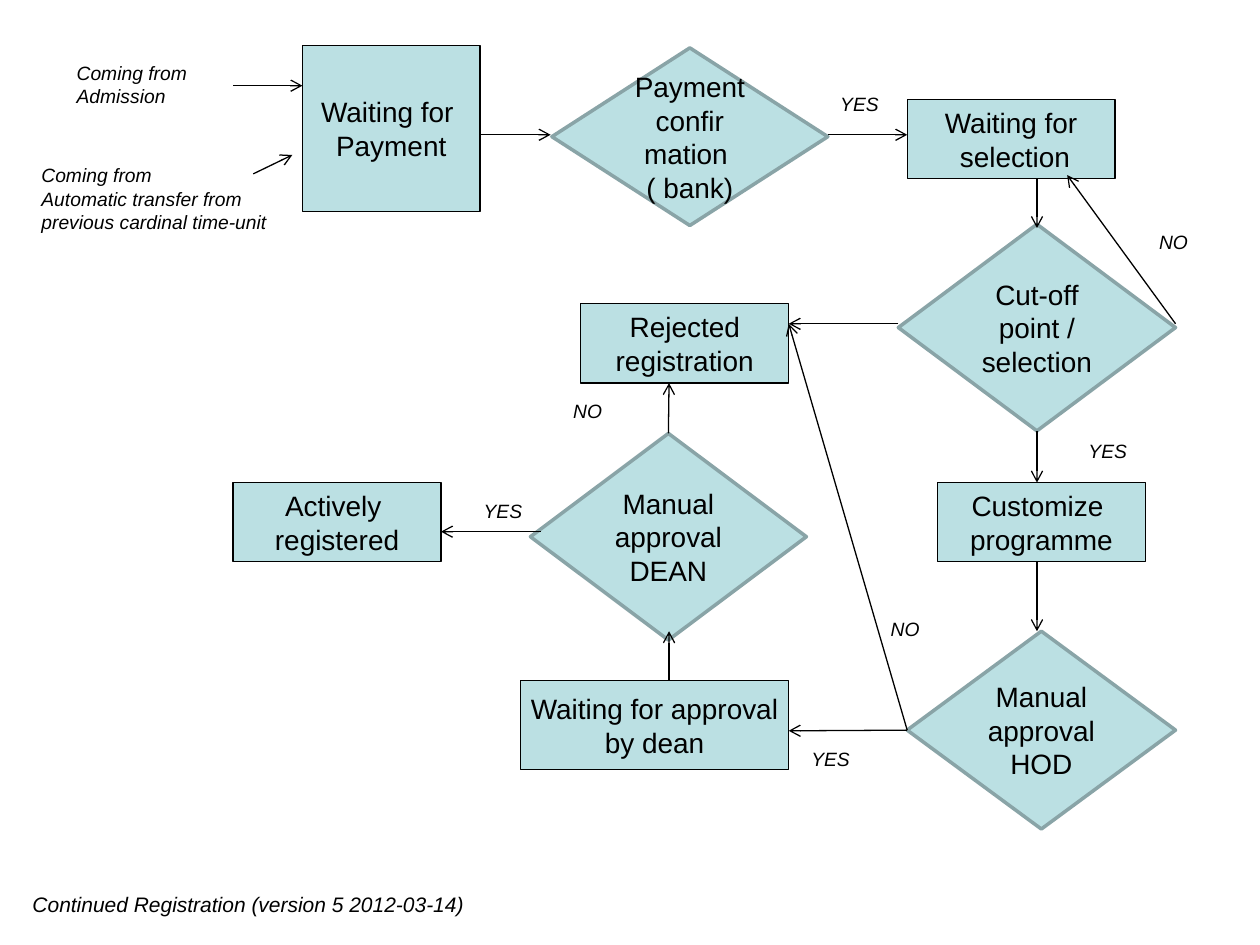
import pptx
import pptx.dml.color
import pptx.enum.shapes
import pptx.enum.text
import pptx.oxml
import pptx.oxml.ns
import pptx.util
from pptx.util import Inches

BLACK = pptx.dml.color.RGBColor(0x00, 0x00, 0x00)
PALE_TEAL = pptx.dml.color.RGBColor(0xBB, 0xE0, 0xE3)
GREY_TEAL = pptx.dml.color.RGBColor(0x89, 0xA4, 0xA7)

STATE_SIZE = (1.65, 0.63)
LABEL_SIZE = (0.55, 0.29)

# name: (text, (left, top, width, height))
STATES = {
    "payment": ("Waiting for \nPayment", (2.4, 0.36, 1.41, 1.32)),
    "selection": ("Waiting for\n selection", (7.2, 0.79, *STATE_SIZE)),
    "rejected": ("Rejected\nregistration", (4.61, 2.41, *STATE_SIZE)),
    "registered": ("Actively \nregistered", (1.85, 3.83, *STATE_SIZE)),
    "customize": ("Customize \nprogramme", (7.44, 3.83, *STATE_SIZE)),
    "dean queue": ("Waiting for approval\nby dean", (4.13, 5.4, 2.13, 0.71)),
}
DECISIONS = {
    "bank": ("Payment confir\nmation \n( bank)", (4.38, 0.38, 2.19, 1.41)),
    "cut-off": ("Cut-off point / selection", (7.13, 1.78, 2.2, 1.64)),
    "dean": ("Manual approval DEAN", (4.21, 3.44, 2.19, 1.64)),
    "head": ("Manual approval HOD", (7.2, 5.01, 2.13, 1.57)),
}
# start, end, and the decision corner that the start is joined to
ARROWS = [
    ((1.85, 0.68), (2.4, 0.68), None),
    ((2.01, 1.38), (2.32, 1.23), None),
    ((3.82, 1.07), (4.37, 1.07), None),
    ((6.57, 1.07), (7.2, 1.07), None),
    ((8.23, 1.42), (8.23, 1.81), None),
    ((9.33, 2.57), (8.47, 1.39), None),
    ((7.13, 2.57), (6.26, 2.57), None),
    ((8.23, 3.44), (8.23, 3.83), ("cut-off", 2)),
    ((8.23, 4.46), (8.23, 5.01), None),
    ((7.2, 5.8), (6.26, 5.8), ("head", 1)),
    ((7.2, 5.8), (6.26, 2.57), ("head", 1)),
    ((5.31, 5.4), (5.31, 5.01), None),
    ((5.31, 3.44), (5.31, 3.04), ("dean", 0)),
    ((4.29, 4.22), (3.5, 4.22), None),
]
ANSWERS = {
    "YES": [(6.57, 0.68), (8.54, 3.44), (3.74, 3.91), (6.34, 5.88)],
    "NO": [(9.1, 1.78), (4.45, 3.12), (6.97, 4.85)],
}
# text, (left, top, width, height), size in points
NOTES = [
    ("Coming from\nAdmission", (0.51, 0.44, 1.54, 0.47), 11),
    ("Coming from\nAutomatic transfer from\nprevious cardinal time-unit",
     (0.23, 1.25, 2.11, 0.65), 11),
    ("Continued Registration (version 5 2012-03-14)",
     (0.16, 7.03, 4.06, 0.3), 12),
]


def write_text(frame, text, size, align, italic=False):
    frame.text = text
    for para in frame.paragraphs:
        para.alignment = align
        for span in para.runs:
            span.font.name = "Arial"
            span.font.size = pptx.util.Pt(size)
            span.font.italic = italic
            span.font.color.rgb = BLACK


def add_node(page, kind, text, box, line_color, line_width, wrap):
    node = page.shapes.add_shape(kind, *map(Inches, box))
    node.shadow.inherit = False
    node.fill.solid()
    node.fill.fore_color.rgb = PALE_TEAL
    node.line.color.rgb = line_color
    node.line.width = pptx.util.Pt(line_width)
    frame = node.text_frame
    frame.word_wrap = wrap
    frame.vertical_anchor = pptx.enum.text.MSO_ANCHOR.MIDDLE
    write_text(frame, text, 16, pptx.enum.text.PP_ALIGN.CENTER)
    return node


def add_state(page, text, box):
    kind = pptx.enum.shapes.MSO_SHAPE.RECTANGLE
    return add_node(page, kind, text, box, BLACK, 0.75, wrap=False)


def add_decision(page, text, box):
    kind = pptx.enum.shapes.MSO_SHAPE.FLOWCHART_DECISION
    return add_node(page, kind, text, box, GREY_TEAL, 2, wrap=True)


def add_note(page, text, box, size):
    note = page.shapes.add_textbox(*map(Inches, box))
    frame = note.text_frame
    frame.word_wrap = True
    frame.auto_size = pptx.enum.text.MSO_AUTO_SIZE.SHAPE_TO_FIT_TEXT
    write_text(frame, text, size, pptx.enum.text.PP_ALIGN.LEFT, italic=True)


def add_arrow(page, start, end):
    arrow = page.shapes.add_connector(
        pptx.enum.shapes.MSO_CONNECTOR.STRAIGHT, *map(Inches, start + end))
    arrow.line.color.rgb = BLACK
    arrow.line.width = pptx.util.Pt(0.75)
    head = pptx.oxml.parse_xml(
        f'<a:tailEnd {pptx.oxml.ns.nsdecls("a")} type="arrow"/>')
    arrow.line._get_or_add_ln().append(head)
    no_shadow = pptx.oxml.parse_xml(
        f'<a:effectLst {pptx.oxml.ns.nsdecls("a")}/>')
    arrow._element.spPr.append(no_shadow)
    return arrow


def add_flowchart(page):
    for text, box in STATES.values():
        add_state(page, text, box)
    decisions = {name: add_decision(page, text, box)
                 for name, (text, box) in DECISIONS.items()}
    for start, end, joint in ARROWS:
        arrow = add_arrow(page, start, end)
        if joint:
            name, corner = joint
            arrow.begin_connect(decisions[name], corner)
    for answer, corners in ANSWERS.items():
        for corner in corners:
            add_note(page, answer, corner + LABEL_SIZE, 11)
    for text, box, size in NOTES:
        add_note(page, text, box, size)


def main():
    deck = pptx.Presentation()
    deck.slide_width = Inches(10)
    deck.slide_height = Inches(7.5)
    page = deck.slides.add_slide(deck.slide_layouts[6])
    add_flowchart(page)
    deck.save("out.pptx")


if __name__ == "__main__":
    main()
